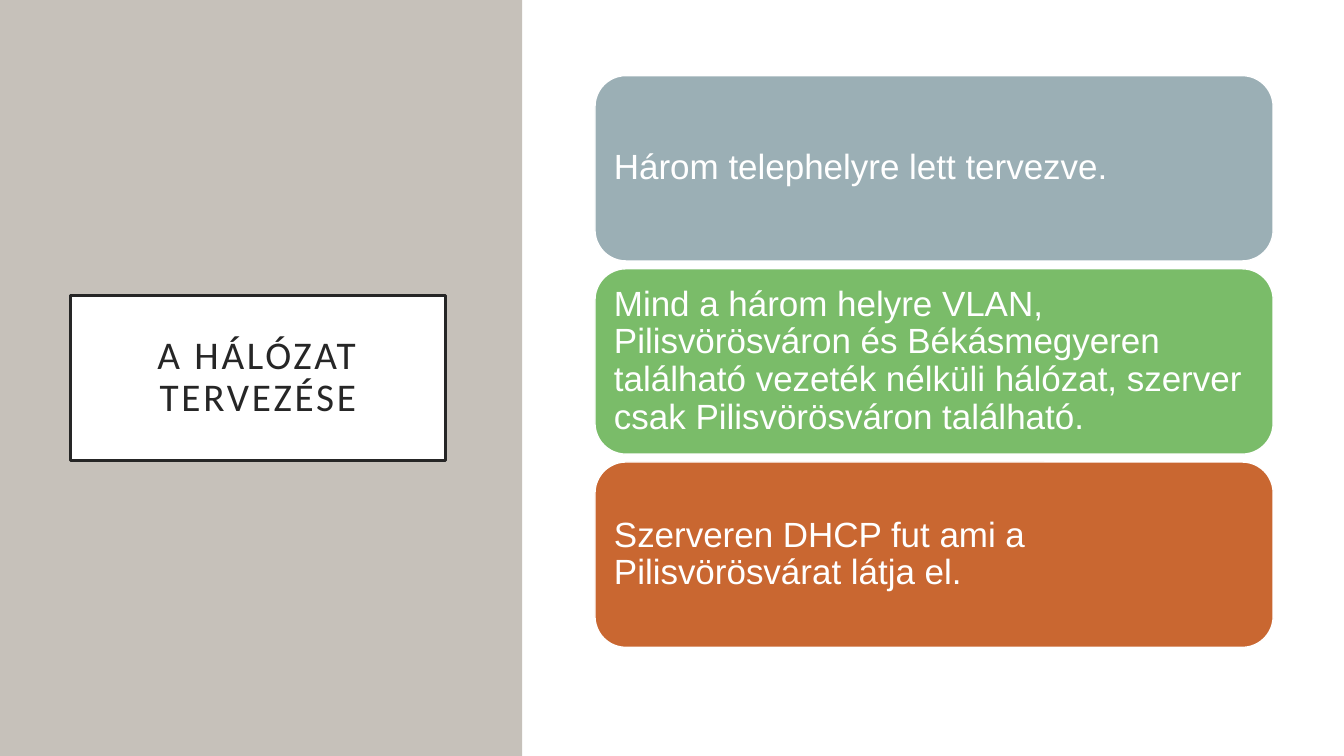
from dataclasses import dataclass

from pptx import Presentation
from pptx.dml.color import RGBColor
from pptx.enum.shapes import MSO_SHAPE
from pptx.enum.text import MSO_ANCHOR, PP_ALIGN
from pptx.util import Pt


@dataclass(frozen=True)
class Theme:
    """Colours, fonts and type sizes of the slide."""
    side: str = "C6C1BA"
    white: str = "FFFFFF"
    ink: str = "262626"
    cards: tuple = ("9BAFB5", "7ABC69", "C96731")
    title_font: str = "Calibri"
    body_font: str = "Arial"
    title_size: float = 28
    body_size: float = 25


class SlideBuilder:
    """Draws themed elements on the current slide, in points."""

    def __init__(self, slide, theme):
        self.slide = slide
        self.theme = theme

    def panel(self, box, fill, line=None, line_width=1, kind=MSO_SHAPE.RECTANGLE):
        """Add a filled shape with an optional outline."""
        shape = self.slide.shapes.add_shape(kind, *map(Pt, box))
        shape.shadow.inherit = False
        shape.fill.solid()
        shape.fill.fore_color.rgb = RGBColor.from_string(fill)
        if line:
            shape.line.color.rgb = RGBColor.from_string(line)
            shape.line.width = Pt(line_width)
        else:
            shape.line.fill.background()
        return shape

    def label(self, shape, text, font, size, color, align, inset):
        """Set one vertically centred paragraph and return its run."""
        frame = shape.text_frame
        frame.text = text
        frame.word_wrap = True
        frame.vertical_anchor = MSO_ANCHOR.MIDDLE
        frame.margin_left = frame.margin_right = Pt(inset)
        frame.margin_top = frame.margin_bottom = Pt(inset)
        paragraph = frame.paragraphs[0]
        paragraph.alignment = align
        paragraph.line_spacing = 0.9
        run = paragraph.runs[0]
        run.font.name = font
        run.font.size = Pt(size)
        run.font.color.rgb = RGBColor.from_string(color)
        return run

    def title(self, box, text):
        """Add the framed title with widely spaced letters."""
        theme = self.theme
        shape = self.panel(box, theme.white, theme.ink, 2.5)
        run = self.label(shape, text, theme.title_font, theme.title_size,
                         theme.ink, PP_ALIGN.CENTER, 14.4)
        run._r.get_or_add_rPr().set("spc", "200")

    def card(self, box, text, fill):
        """Add a rounded card with left-aligned text."""
        theme = self.theme
        shape = self.panel(box, fill, theme.white, 1, MSO_SHAPE.ROUNDED_RECTANGLE)
        self.label(shape, text, theme.body_font, theme.body_size,
                   theme.white, PP_ALIGN.LEFT, 7.2)


def main():
    """Build and save the slide."""
    theme = Theme()
    presentation = Presentation()
    presentation.slide_width, presentation.slide_height = Pt(960), Pt(540)
    slide = presentation.slides.add_slide(presentation.slide_layouts[6])
    builder = SlideBuilder(slide, theme)

    builder.panel((0, 0, 373, 540), theme.side)
    builder.title((50.4, 211, 267.8, 118), "A HÁLÓZAT TERVEZÉSE")
    builder.panel((374.4, 0, 585.6, 540), theme.white)

    statements = (
        "Három telephelyre lett tervezve.",
        "Mind a három helyre VLAN, Pilisvörösváron és Békásmegyeren található "
        "vezeték nélküli hálózat, szerver csak Pilisvörösváron található.",
        "Szerveren DHCP fut ami a Pilisvörösvárat látja el.",
    )
    card_top, card_height, card_gap = 54, 132.4, 5.6
    for index, (text, fill) in enumerate(zip(statements, theme.cards)):
        top = card_top + index * (card_height + card_gap)
        builder.card((425, top, 484.4, card_height), text, fill)

    presentation.save("out.pptx")


if __name__ == "__main__":
    main()
